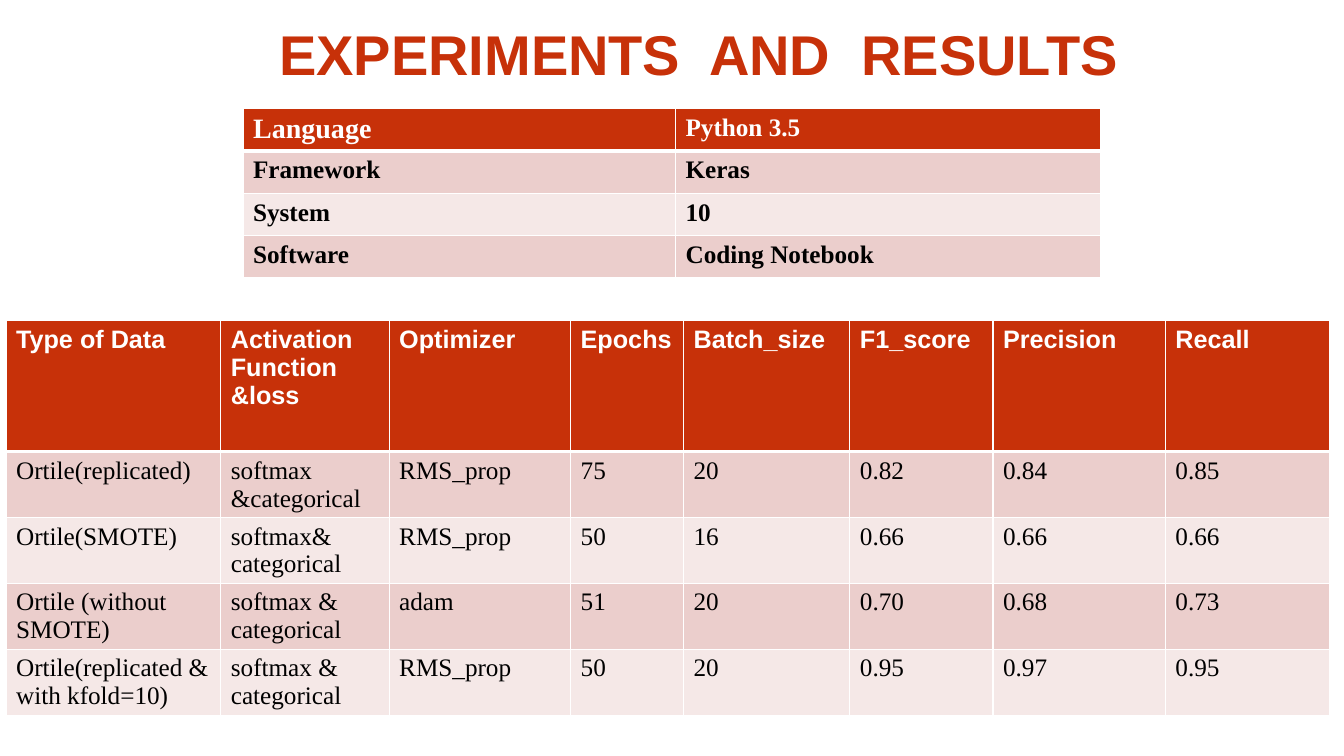
from lxml import etree
from pptx import Presentation
from pptx.dml.color import RGBColor
from pptx.enum.text import MSO_ANCHOR, MSO_AUTO_SIZE, PP_ALIGN
from pptx.oxml.ns import qn
from pptx.util import Inches, Pt

LEFT, MIDDLE, NO_FIT = PP_ALIGN.LEFT, MSO_ANCHOR.MIDDLE, MSO_AUTO_SIZE.NONE
RED = RGBColor(0xC7, 0x31, 0x09)
ROSE = RGBColor(0xEB, 0xCE, 0xCC)
PALE = RGBColor(0xF5, 0xE8, 0xE7)
WHITE = RGBColor(0xFF, 0xFF, 0xFF)
BLACK = RGBColor(0, 0, 0)
SANS, SERIF = "Arial", "Times New Roman"

# Content
TITLE = "EXPERIMENTS  AND  RESULTS"
SETUP = [
    ("Language", "Python 3.5"),
    ("Framework", "Keras"),
    ("System", "10"),
    ("Software", "Coding Notebook"),
]
RESULTS = [
    ("Type of Data", "Activation Function &loss", "Optimizer", "Epochs",
     "Batch_size", "F1_score", "Precision", "Recall"),
    ("Ortile(replicated)", "softmax &categorical", "RMS_prop", "75", "20",
     "0.82", "0.84", "0.85"),
    ("Ortile(SMOTE)", "softmax&\ncategorical", "RMS_prop", "50", "16",
     "0.66", "0.66", "0.66"),
    ("Ortile (without SMOTE)", "softmax &\ncategorical", "adam", "51", "20",
     "0.70", "0.68", "0.73"),
    ("Ortile(replicated & with kfold=10)", "softmax &\ncategorical",
     "RMS_prop", "50", "20", "0.95", "0.97", "0.95"),
]
SETUP_COLS = [4.29, 4.22]
SETUP_ROWS = [0.42] * 4
RESULT_COLS = [2.13, 1.67, 1.8, 1.12, 1.65, 1.42, 1.71, 1.63]
RESULT_ROWS = [1.3] + [0.6] * 4


def set_edges(cell, base):
    """Draw white cell borders, with the bottom one base points wide."""
    props = cell._tc.get_or_add_tcPr()
    for i, (side, width) in enumerate(
            [("L", 1), ("R", 1), ("T", 1), ("B", base)]):
        line = etree.Element(qn(f"a:ln{side}"), w=str(Pt(width)))
        fill = etree.SubElement(line, qn("a:solidFill"))
        etree.SubElement(fill, qn("a:srgbClr"), val=str(WHITE))
        props.insert(i, line)


def add_grid(slide, left, top, cols, rows, data, head_font, body_bold):
    """Add a table with a red header and banded rows."""
    table = slide.shapes.add_table(
        len(rows), len(cols), Inches(left), Inches(top),
        Inches(sum(cols)), Inches(sum(rows))).table
    for col, width in zip(table.columns, cols):
        col.width = Inches(width)
    for r, (row, height) in enumerate(zip(table.rows, rows)):
        row.height = Inches(height)
        head = r == 0
        for cell, text in zip(row.cells, data[r]):
            cell.text = text
            cell.fill.solid()
            cell.fill.fore_color.rgb = RED if head else (PALE, ROSE)[r % 2]
            set_edges(cell, 3 if head else 1)
            for para in cell.text_frame.paragraphs:
                font = para.font
                font.name = head_font if head else SERIF
                font.size = Pt(18)
                font.bold = head or body_bold
                font.color.rgb = WHITE if head else BLACK
    return table


deck = Presentation()
deck.slide_width, deck.slide_height = Inches(13.33), Inches(7.5)
slide = deck.slides.add_slide(deck.slide_layouts[5])

# Title
title = slide.shapes.title
title.left, title.top = Inches(0.67), Inches(0.21)
title.width, title.height = Inches(12), Inches(0.64)
frame = title.text_frame
frame.text = TITLE
frame.auto_size = NO_FIT
frame.vertical_anchor = MIDDLE
frame.margin_left = Inches(2.1)
para = frame.paragraphs[0]
para.alignment = LEFT
para.font.name, para.font.size, para.font.bold = SANS, Pt(40), True
para.font.color.rgb = RED

# Setup table, with a larger first heading
setup = add_grid(slide, 2.41, 1.08, SETUP_COLS, SETUP_ROWS, SETUP, SERIF, True)
setup.cell(0, 0).text_frame.paragraphs[0].font.size = Pt(20)

# Results table
add_grid(slide, 0.06, 3.18, RESULT_COLS, RESULT_ROWS, RESULTS, SANS, False)

deck.save("out.pptx")
